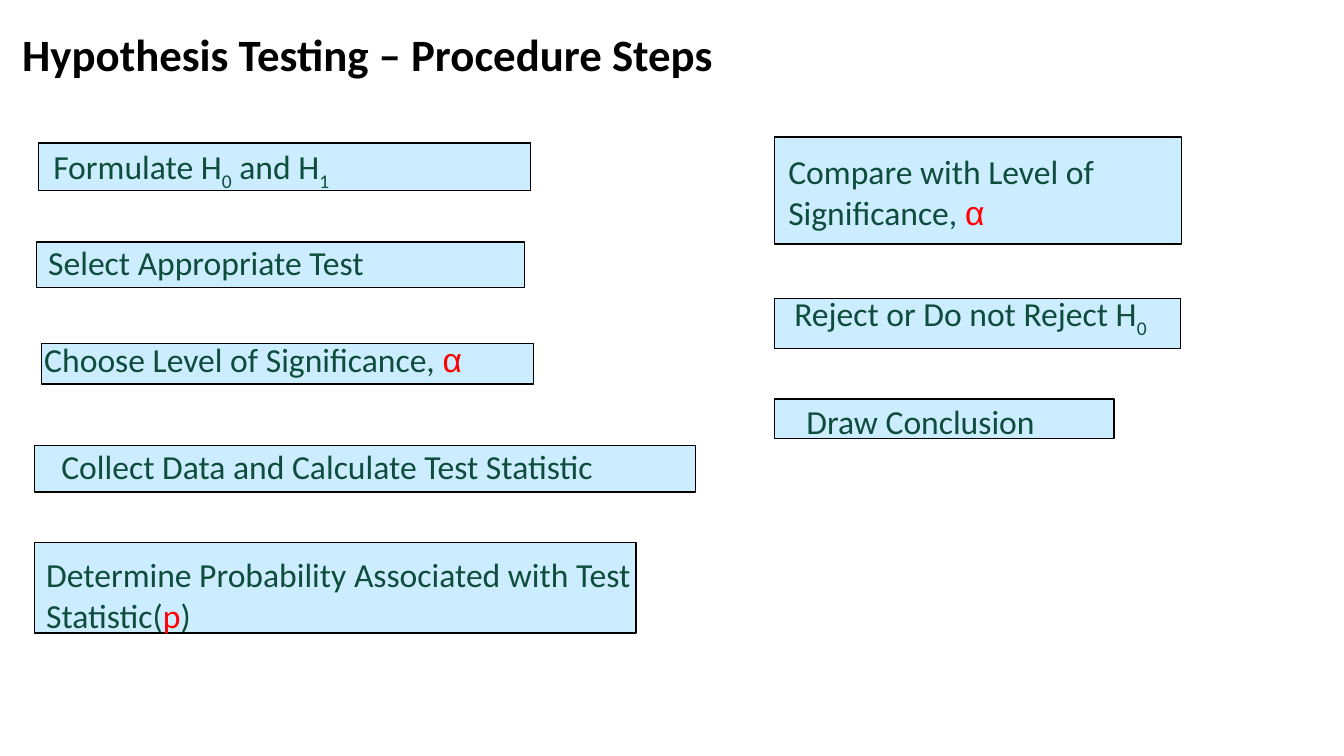
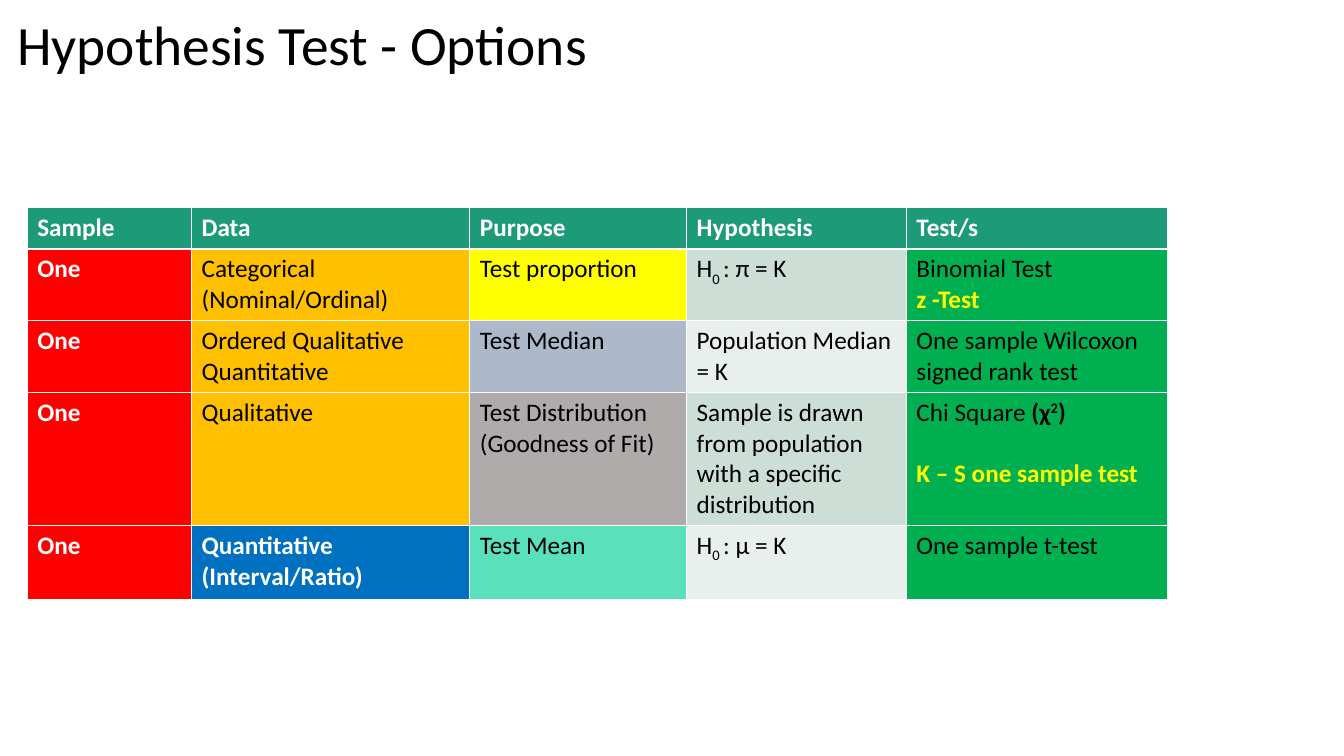
from pptx import Presentation
from pptx.dml.color import RGBColor as Rgb
from pptx.enum.shapes import MSO_SHAPE as Shape
from pptx.enum.text import MSO_ANCHOR as Anchor, PP_ALIGN as Align
from pptx.util import Inches, Pt

FONT = "Calibri"
BLACK, WHITE, RED, YELLOW = "000000", "FFFFFF", "FF0000", "FFFF00"
PALE, PINE, TEAL = "CCECFF", "0E4D3C", "1D9A78"
AMBER, GREEN, BLUE = "FFC000", "00B050", "0070C0"
SAGE, MIST = "CDDED6", "E8EFEC"

# Run styles: what differs from the base format of the text
SUB = {"base": -25000}
SUP = {"base": 30000, "bold": True}
BOLD = {"bold": True}
MARK = {"bold": True, "color": YELLOW}
ALPHA = ("α ", {"color": RED, "name": "Arial"})

# Title text, place, format
STEP_HEAD = ("Hypothesis Testing – Procedure Steps", (0.12, 0.14, 9.78, 0.86),
             {"size": 32, "bold": True})
TEST_HEAD = ("Hypothesis Test - Options", (0.07, 0.12, 11.5, 0.71),
             {"size": 39.6, "bold": False})

# Each step: frame, text place, wrap, runs
FIRST = [
    ((0.38, 1.42, 4.88, 0.47), (0.43, 1.4, 2.99, 0.5), False,
     ["Formulate H", ("0", SUB), " and H", ("1", SUB)]),
    ((0.36, 2.4, 4.84, 0.45), (0.38, 2.35, 3.36, 0.5), False,
     ["Select Appropriate Test"]),
    ((0.41, 3.41, 4.88, 0.4), (0.34, 3.31, 4.48, 0.5), False,
     ["Choose Level of Significance, ", ALPHA]),
    ((0.34, 4.42, 6.56, 0.46), (0.51, 4.37, 5.52, 0.5), False,
     ["Collect Data and Calculate Test Statistic"]),
]
LAST = [
    ((7.68, 3.96, 3.37, 0.39), (7.9, 3.93, 2.48, 0.5), False,
     ["Draw Conclusion"]),
    ((0.34, 5.38, 5.97, 0.9), (0.36, 5.45, 6.32, 0.91), True,
     ["Determine Probability Associated with Test Statistic(",
      ("p", {"color": RED}), ")"]),
    ((7.68, 1.36, 4.04, 1.06), (7.72, 1.45, 3.29, 0.91), True,
     ["Compare with Level of Significance, ", ALPHA]),
    ((7.68, 2.96, 4.03, 0.5), (7.78, 2.86, 4.1, 0.5), True,
     ["Reject or Do not Reject H", ("0", SUB)]),
]

# Table: each cell is a fill and its paragraphs, each a list of runs
HEADS = ["Sample", "Data", "Purpose", "Hypothesis", "Test/s"]
ONE = (RED, [["One"]])
ROWS = [
    [ONE, (AMBER, [["Categorical (Nominal/Ordinal)"]]),
     (YELLOW, [["Test proportion"]]),
     (SAGE, [["H", ("0 ", SUB), ": π = K"]]),
     (GREEN, [["Binomial Test"], [("z -Test", MARK)]])],
    [ONE, (AMBER, [["Ordered Qualitative"], ["Quantitative"]]),
     ("ADB9CA", [["Test Median"]]),
     (MIST, [["Population Median = K"]]),
     (GREEN, [["One sample Wilcoxon signed rank test"]])],
    [ONE, (AMBER, [["Qualitative"]]),
     ("AFABAB", [["Test Distribution"], ["(Goodness of Fit)"]]),
     (SAGE, [["Sample is drawn from population with a specific distribution"]]),
     (GREEN, [["Chi Square ", ("(χ", BOLD), ("2", SUP), (")", BOLD)],
              [("K – S one sample test", MARK)]])],
    [ONE, (BLUE, [["Quantitative (Interval/Ratio)"]]),
     ("5AE0BB", [["Test Mean"]]),
     (MIST, [["H", ("0 ", SUB), ": μ = K"]]),
     (GREEN, [["One sample t-test"]])],
]
SPOT = (0.27, 2.06)
WIDE = [1.63, 2.76, 2.15, 2.18, 2.59]
HIGH = [0.41, 0.71, 0.71, 1.32, 0.74]
STRONG = (TEAL, RED, BLUE)  # fills that carry bold white text
GAPS = {(3, 4): 22}  # space before the last paragraph of a cell


def rgb(code):
    """Turn a hex string into a colour."""
    return Rgb.from_string(code)


def box(place):
    """Turn a tuple of inches into lengths."""
    return [Inches(n) for n in place]


def paint(run, look):
    """Apply a dict of format values to one run."""
    for key, val in look.items():
        if key == "color":
            run.font.color.rgb = rgb(val)
        elif key == "base":
            run._r.get_or_add_rPr().set("baseline", str(val))
        else:
            setattr(run.font, key, Pt(val) if key == "size" else val)


def write(frame, paras, look):
    """Fill a text frame with paragraphs of runs."""
    base = {"name": FONT, "color": BLACK, **look}
    for i, runs in enumerate(paras):
        para = frame.add_paragraph() if i else frame.paragraphs[0]
        for item in runs:
            text, extra = (item, {}) if isinstance(item, str) else item
            run = para.add_run()
            run.text = text
            paint(run, {**base, **extra})


def start(deck, head):
    """Add a slide with its title set at the left."""
    text, place, look = head
    slide = deck.slides.add_slide(deck.slide_layouts[5])
    title = slide.shapes.title
    for key, val in zip(("left", "top", "width", "height"), box(place)):
        setattr(title, key, val)
    frame = title.text_frame
    frame.vertical_anchor = Anchor.MIDDLE
    write(frame, [[text]], look)
    para = frame.paragraphs[0]
    para.alignment, para.line_spacing = Align.LEFT, 0.9
    return slide


def add_steps(slide, steps):
    """Add one group of framed steps."""
    group = slide.shapes.add_group_shape()
    for edge, place, wrap, runs in steps:
        rect = group.shapes.add_shape(Shape.RECTANGLE, *box(edge))
        rect.shadow.inherit = False
        rect.fill.solid()
        rect.fill.fore_color.rgb = rgb(PALE)
        rect.line.color.rgb = rgb(BLACK)
        rect.line.width = Pt(1)
        frame = group.shapes.add_textbox(*box(place)).text_frame
        frame.word_wrap = wrap
        write(frame, [runs], {"size": 24, "color": PINE})


def add_grid(slide):
    """Add the table of test options."""
    size = (sum(WIDE), sum(HIGH))
    grid = slide.shapes.add_table(len(HIGH), len(WIDE), *box(SPOT + size)).table
    for col, wide in zip(grid.columns, WIDE):
        col.width = Inches(wide)
    for row, high in zip(grid.rows, HIGH):
        row.height = Inches(high)
    top = [(TEAL, [[head]]) for head in HEADS]
    for r, row in enumerate([top] + ROWS):
        for c, (fill, paras) in enumerate(row):
            cell = grid.cell(r, c)
            cell.fill.solid()
            cell.fill.fore_color.rgb = rgb(fill)
            bold = fill in STRONG
            write(cell.text_frame, paras,
                  {"size": 18, "bold": bold, "color": WHITE if bold else BLACK})
            if (r, c) in GAPS:
                cell.text_frame.paragraphs[-1].space_before = Pt(GAPS[r, c])


deck = Presentation()
deck.slide_width, deck.slide_height = box((13.33, 7.5))
steps = start(deck, STEP_HEAD)
for part in (FIRST, LAST):
    add_steps(steps, part)
add_grid(start(deck, TEST_HEAD))
deck.save("out.pptx")
